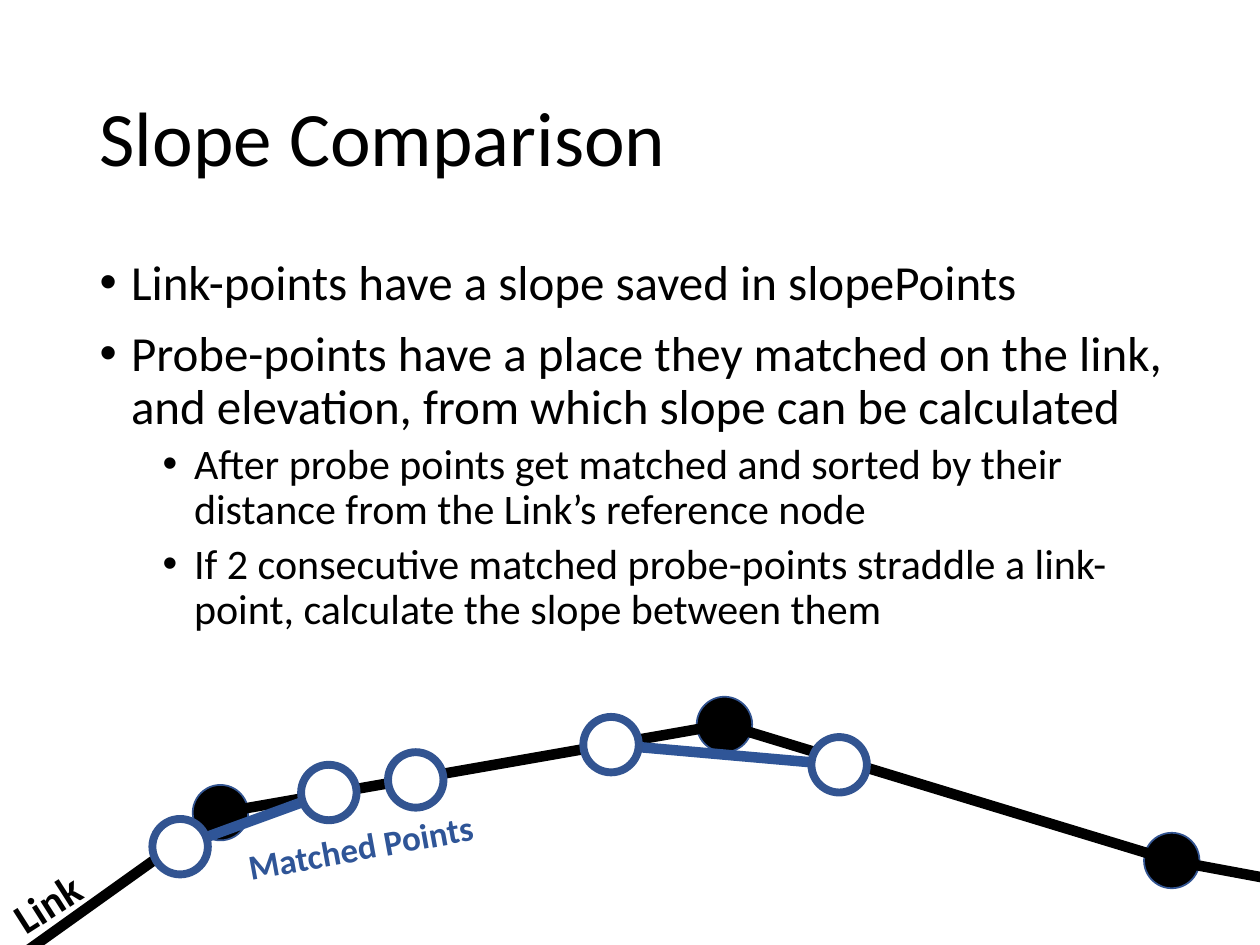
from dataclasses import dataclass
from itertools import pairwise

from lxml.etree import SubElement
from pptx import Presentation
from pptx.dml.color import RGBColor
from pptx.enum.shapes import MSO_CONNECTOR as Connector, MSO_SHAPE as Shape
from pptx.enum.text import MSO_ANCHOR as Anchor, MSO_AUTO_SIZE as AutoSize, PP_ALIGN as Align
from pptx.oxml.ns import qn
from pptx.util import Inches, Pt

BLACK, WHITE, OUTLINE, BLUE = "000000", "FFFFFF", "325491", "2F5597"
DIAMETER = 0.44


@dataclass(frozen=True)
class Point:
    """A position on the slide in inches."""
    x: float
    y: float


@dataclass(frozen=True)
class Bullet:
    """A list entry with its level and text size."""
    text: str
    level: int
    size: float


@dataclass(frozen=True)
class Label:
    """A rotated caption with its box in inches."""
    text: str
    left: float
    top: float
    width: float
    height: float
    rotation: float
    size: float
    color: str


LINK_POINTS = [Point(1.75, 6.45), Point(5.75, 5.75), Point(9.3, 6.83)]
LINK_PATH = [Point(0, 7.7), *LINK_POINTS, Point(10.16, 6.99)]
MATCHED_POINTS = [Point(1.43, 6.72), Point(2.61, 6.29), Point(3.3, 6.19),
                  Point(4.85, 5.91), Point(6.66, 6.07)]
STRADDLING_PAIRS = [(0, 1), (3, 4)]
BULLETS = [
    Bullet("Link-points have a slope saved in slopePoints", 0, 28),
    Bullet("Probe-points have a place they matched on the link, and elevation, "
           "from which slope can be calculated", 0, 28),
    Bullet("After probe points get matched and sorted by their distance "
           "from the Link’s reference node", 1, 24),
    Bullet("If 2 consecutive matched probe-points straddle a link-point, "
           "calculate the slope between them", 1, 24),
]
LABELS = [
    Label("Link", -0.01, 6.91, 0.77, 0.5, 327.4, 24, BLACK),
    Label("Matched Points", 1.86, 6.5, 2.02, 0.44, 349.6, 20, BLUE),
]


def rgb(color: str) -> RGBColor:
    """Turn a hex string into a colour."""
    return RGBColor.from_string(color)


def place(shape, left: float, top: float, width: float, height: float) -> None:
    """Move and size a shape in inches."""
    shape.left, shape.top = Inches(left), Inches(top)
    shape.width, shape.height = Inches(width), Inches(height)


def write(paragraph, text: str, *, size: float, color: str = BLACK, bold: bool = False,
          spacing: float = 1.0, before: float = 0) -> None:
    """Write formatted left-aligned text into a paragraph."""
    paragraph.alignment = Align.LEFT
    paragraph.line_spacing = spacing
    paragraph.space_before = Pt(before)
    run = paragraph.add_run()
    run.text = text
    run.font.name, run.font.size, run.font.bold = "Calibri", Pt(size), bold
    run.font.color.rgb = rgb(color)


def add_bullet(paragraph, bullet: Bullet) -> None:
    """Write one list entry with its indent and bullet character."""
    paragraph.level = bullet.level
    write(paragraph, bullet.text, size=bullet.size, spacing=0.9,
          before=5 if bullet.level else 10)
    properties = paragraph._p.get_or_add_pPr()
    properties.set("marL", str(Inches(0.25 + 0.5 * bullet.level)))
    properties.set("indent", str(Inches(-0.25)))
    SubElement(properties, qn("a:buFont")).set("typeface", "Arial")
    SubElement(properties, qn("a:buChar")).set("char", "•")


def add_line(slide, start: Point, end: Point, color: str) -> None:
    """Draw a thick straight line between two points."""
    line = slide.shapes.add_connector(Connector.STRAIGHT, Inches(start.x), Inches(start.y),
                                      Inches(end.x), Inches(end.y))
    line.line.color.rgb = rgb(color)
    line.line.width = Pt(6)
    SubElement(line._element.spPr, qn("a:effectLst"))


def add_circle(slide, center: Point, fill: str, line_width: float) -> None:
    """Draw an outlined circle around a point."""
    radius = DIAMETER / 2
    circle = slide.shapes.add_shape(Shape.OVAL, Inches(center.x - radius),
                                    Inches(center.y - radius),
                                    Inches(DIAMETER), Inches(DIAMETER))
    circle.shadow.inherit = False
    circle.fill.solid()
    circle.fill.fore_color.rgb = rgb(fill)
    circle.line.color.rgb = rgb(OUTLINE)
    circle.line.width = Pt(line_width)


def add_label(slide, label: Label) -> None:
    """Add a rotated bold caption."""
    box = slide.shapes.add_textbox(Inches(label.left), Inches(label.top),
                                   Inches(label.width), Inches(label.height))
    box.rotation = label.rotation
    box.text_frame.word_wrap = False
    box.text_frame.auto_size = AutoSize.SHAPE_TO_FIT_TEXT
    write(box.text_frame.paragraphs[0], label.text, size=label.size,
          color=label.color, bold=True)


def add_texts(slide) -> None:
    """Fill the title and body placeholders."""
    title, body = slide.shapes.title, slide.placeholders[1]
    place(title, 0.69, 0.4, 8.62, 1.45)
    place(body, 0.69, 2, 8.83, 4.76)
    for shape, anchor in ((title, Anchor.MIDDLE), (body, Anchor.TOP)):
        shape.text_frame.auto_size = AutoSize.NONE
        shape.text_frame.vertical_anchor = anchor
    write(title.text_frame.paragraphs[0], "Slope Comparison", size=44, spacing=0.9)
    frame = body.text_frame
    for index, bullet in enumerate(BULLETS):
        add_bullet(frame.add_paragraph() if index else frame.paragraphs[0], bullet)


def add_diagram(slide) -> None:
    """Draw the link, its points and the matched probe-points."""
    for point in LINK_POINTS:
        add_circle(slide, point, BLACK, 1)
    for start, end in pairwise(LINK_PATH):
        add_line(slide, start, end, BLACK)
    for first, second in STRADDLING_PAIRS:
        add_line(slide, MATCHED_POINTS[first], MATCHED_POINTS[second], BLUE)
    for point in MATCHED_POINTS:
        add_circle(slide, point, WHITE, 4.5)
    for label in LABELS:
        add_label(slide, label)


def main() -> None:
    """Build and save the presentation."""
    presentation = Presentation()
    presentation.slide_width, presentation.slide_height = Inches(10), Inches(7.5)
    slide = presentation.slides.add_slide(presentation.slide_layouts[1])
    add_texts(slide)
    add_diagram(slide)
    presentation.save("out.pptx")


if __name__ == "__main__":
    main()
